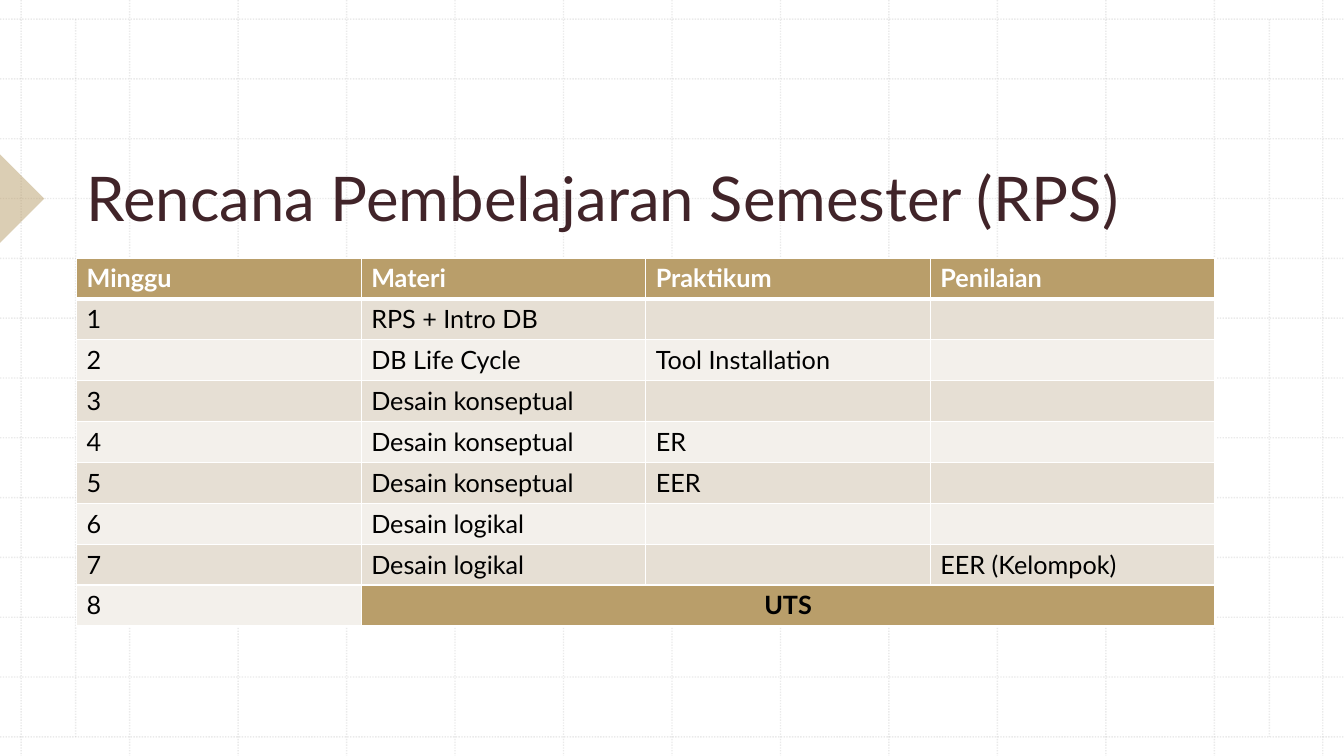
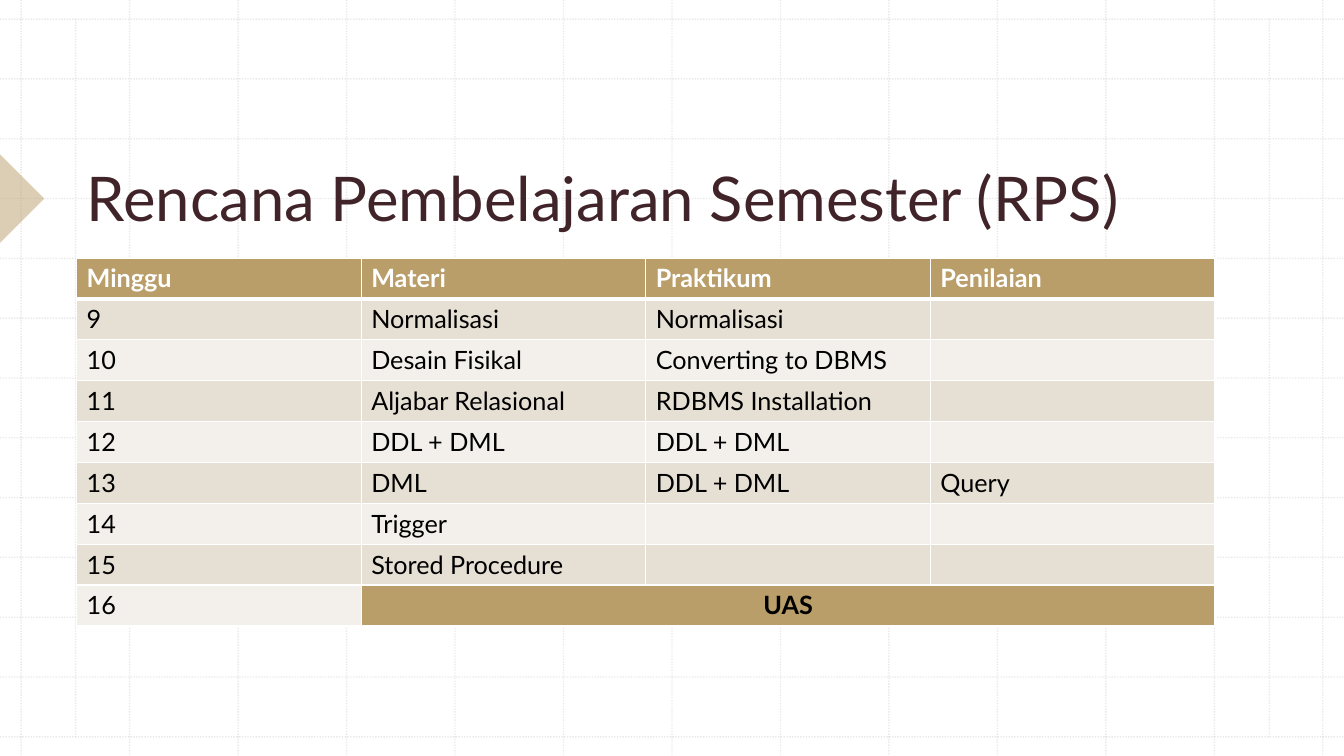
from lxml.etree import SubElement
from pptx import Presentation
from pptx.dml.color import RGBColor
from pptx.enum.dml import MSO_LINE
from pptx.enum.shapes import MSO_CONNECTOR, MSO_SHAPE
from pptx.enum.text import MSO_ANCHOR, PP_ALIGN
from pptx.oxml import parse_xml
from pptx.oxml.ns import nsdecls, qn
from pptx.util import Inches, Pt

WIDTH, HEIGHT = 13.33, 7.5
FONT = "Lato"
GOLD = RGBColor(0xB9, 0x9E, 0x6A)
PLUM = RGBColor(0x41, 0x24, 0x29)
GREY = RGBColor(0xBC, 0xBC, 0xBC)
SAND = RGBColor(0xE6, 0xDF, 0xD4)
CREAM = RGBColor(0xF3, 0xF0, 0xEB)
WHITE = RGBColor(0xFF, 0xFF, 0xFF)
BLACK = RGBColor(0, 0, 0)

TITLE_BOX = (0.76, 0.79, 11.29, 1.58)
TABLE_BOX = (0.76, 2.56, 11.29, 3.65)
GRID_BOX = (0.21, 0.19, 12.91, 7.12)
GRID_STEPS = 12
MARGINS = (0.75, 12.59)
ARROW_BOX = (-0.31, 1.66, 0.62, 0.62)

TITLE = "Rencana Pembelajaran Semester (RPS)"
HEADINGS = ("Minggu", "Materi", "Praktikum", "Penilaian")
FIRST_HALF = [
    ("RPS + Intro DB", "", ""),
    ("DB Life Cycle", "Tool Installation", ""),
    ("Desain konseptual", "", ""),
    ("Desain konseptual", "ER", ""),
    ("Desain konseptual", "EER", ""),
    ("Desain logikal", "", ""),
    ("Desain logikal", "", "EER (Kelompok)"),
]
SECOND_HALF = [
    ("Normalisasi", "Normalisasi", ""),
    ("Desain Fisikal", "Converting to DBMS", ""),
    ("Aljabar Relasional", "RDBMS Installation", ""),
    ("DDL + DML", "DDL + DML", ""),
    ("DML", "DDL + DML", "Query"),
    ("Trigger", "", ""),
    ("Stored Procedure", "", ""),
]


def inches(box):
    return [Inches(length) for length in box]


def set_opacity(fill_parent, percent):
    color = next(fill_parent.iter(qn("a:srgbClr")))
    SubElement(color, qn("a:alpha"), val=str(percent * 1000))


def style_text(paragraph, size, color, bold=False, align=PP_ALIGN.LEFT):
    paragraph.alignment = align
    for span in paragraph.runs:
        span.font.name = FONT
        span.font.size = Pt(size)
        span.font.bold = bold
        span.font.color.rgb = color


def add_grid_line(group, *ends):
    line = group.shapes.add_connector(MSO_CONNECTOR.STRAIGHT, *inches(ends))
    line.line.color.rgb = GREY
    line.line.width = Pt(1)
    line.line.dash_style = MSO_LINE.ROUND_DOT
    properties = line.element.spPr
    set_opacity(properties, 30)
    SubElement(properties, qn("a:effectLst"))


def draw_grid(group, box):
    left, top, width, height = box
    for step in range(GRID_STEPS + 1):
        x = left + width * step / GRID_STEPS
        y = top + height * step / GRID_STEPS
        add_grid_line(group, x, 0, x, HEIGHT)
        add_grid_line(group, 0, y, WIDTH, y)
    for x in MARGINS:
        add_grid_line(group, x, top, x, top + height)


def draw_arrow(group, box):
    arrow = group.shapes.add_shape(MSO_SHAPE.RIGHT_TRIANGLE, *inches(box))
    arrow.rotation = 225
    arrow.shadow.inherit = False
    arrow.fill.solid()
    arrow.fill.fore_color.rgb = GOLD
    set_opacity(arrow.element.spPr, 50)
    arrow.line.fill.background()


def prepare_layout(layout, page):
    title = layout.placeholders[0]
    title.left, title.top, title.width, title.height = inches(TITLE_BOX)
    title.text_frame.vertical_anchor = MSO_ANCHOR.BOTTOM
    backdrop = page.shapes.add_group_shape()
    draw_grid(backdrop, GRID_BOX)
    draw_arrow(backdrop, ARROW_BOX)
    for number, names in enumerate(backdrop.element.xpath(".//p:cNvPr"), 100):
        names.set("id", str(number))
    layout.shapes.element.insert(2, backdrop.element)


def set_borders(cell, top=1, bottom=1):
    widths = {"lnL": 1, "lnR": 1, "lnT": top, "lnB": bottom}
    properties = cell._tc.get_or_add_tcPr()
    for position, (side, width) in enumerate(widths.items()):
        border = parse_xml(
            f'<a:{side} {nsdecls("a")} w="{Pt(width)}"><a:solidFill>'
            f'<a:srgbClr val="{WHITE}"/></a:solidFill></a:{side}>'
        )
        properties.insert(position, border)


def fill_cell(cell, text, fill, color=BLACK, bold=False, align=PP_ALIGN.LEFT):
    cell.text_frame.text = text
    style_text(cell.text_frame.paragraphs[0], 18, color, bold, align)
    cell.fill.solid()
    cell.fill.fore_color.rgb = fill


def add_schedule(page, box, first_week, lessons, exam):
    rows = [HEADINGS]
    for week, lesson in enumerate(lessons + [(exam, "", "")], first_week):
        rows.append((str(week), *lesson))
    last = len(rows) - 1
    table = page.shapes.add_table(len(rows), len(HEADINGS), *inches(box)).table
    for index, row in enumerate(rows):
        fill = SAND if index % 2 else CREAM
        for column, text in enumerate(row):
            cell = table.cell(index, column)
            if index == 0:
                fill_cell(cell, text, GOLD, WHITE, bold=True)
            elif index == last and column > 0:
                fill_cell(cell, text, GOLD, bold=True, align=PP_ALIGN.CENTER)
            else:
                fill_cell(cell, text, fill)
            set_borders(cell, 3 if index == 1 else 1, 3 if index == 0 else 1)
    table.cell(last, 1).merge(table.cell(last, len(HEADINGS) - 1))


def add_schedule_page(deck, layout, first_week, lessons, exam):
    page = deck.slides.add_slide(layout)
    page.shapes.title.text_frame.text = TITLE
    style_text(page.shapes.title.text_frame.paragraphs[0], 44, PLUM)
    add_schedule(page, TABLE_BOX, first_week, lessons, exam)
    return page


def main():
    deck = Presentation()
    deck.slide_width, deck.slide_height = Inches(WIDTH), Inches(HEIGHT)
    layout = deck.slide_layouts.get_by_name("Title Only")
    page = add_schedule_page(deck, layout, 1, FIRST_HALF, "UTS")
    prepare_layout(layout, page)
    add_schedule_page(deck, layout, 9, SECOND_HALF, "UAS")
    deck.save("out.pptx")


if __name__ == "__main__":
    main()
